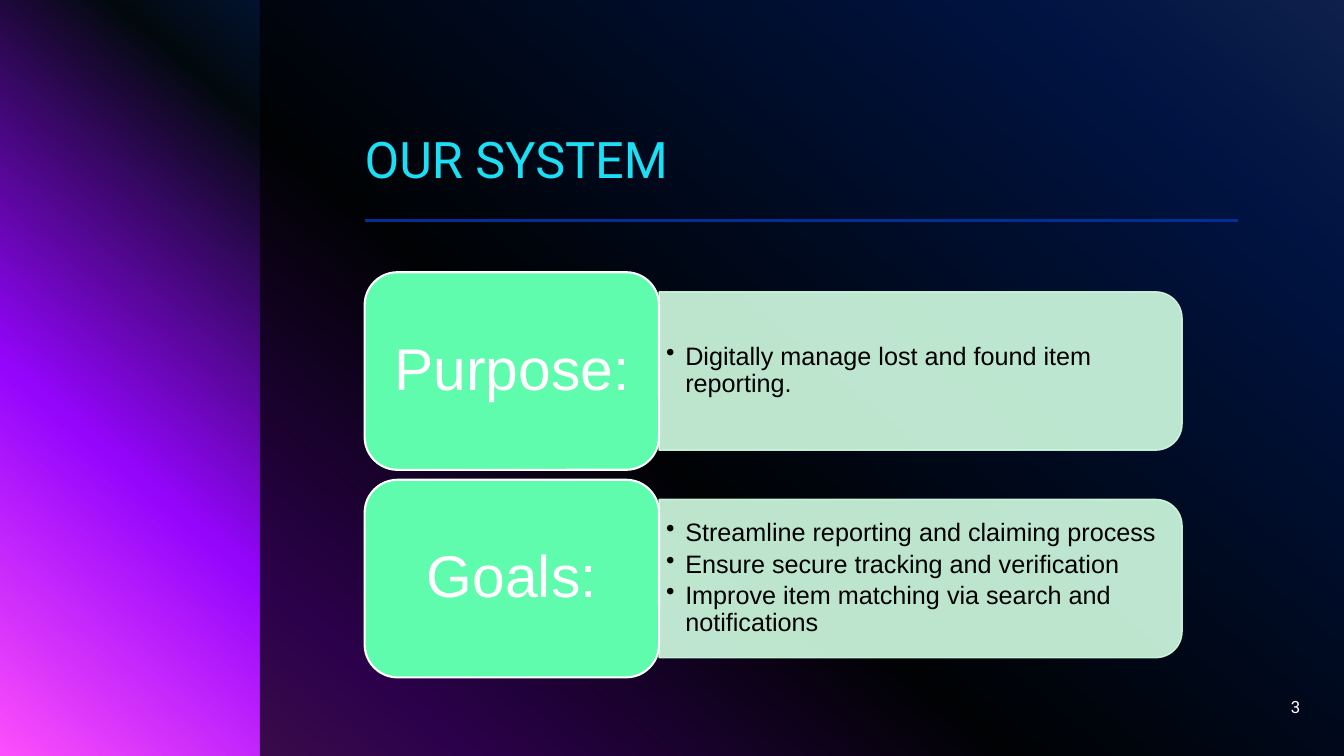
from lxml import etree
from pptx import Presentation
from pptx.dml.color import RGBColor
from pptx.enum.shapes import MSO_CONNECTOR, MSO_SHAPE
from pptx.enum.text import MSO_ANCHOR, MSO_AUTO_SIZE, PP_ALIGN
from pptx.oxml import parse_xml
from pptx.oxml.ns import nsdecls, qn
from pptx.util import Cm, Pt


def colour(code):
    return RGBColor.from_string(code)


class SlideBuilder:
    heading_font, body_font = "Roboto", "Arial"
    cyan, mint, pale_mint = "1CDFF5", "5EFCAC", "D2FEE3"
    black, white, rule_blue = "000000", "FFFFFF", "022E96"

    def __init__(self, deck):
        self.page = deck.slides.add_slide(deck.slide_layouts[5])

    def background(self, stops, angle):
        marks = "".join(f'<a:gs pos="{place * 1000}"><a:srgbClr val="{code}"/></a:gs>'
                        for place, code in stops)
        self.page.element.cSld.insert(0, parse_xml(
            f'<p:bg {nsdecls("p", "a")}><p:bgPr><a:gradFill rotWithShape="1">'
            f'<a:gsLst>{marks}</a:gsLst><a:lin ang="{angle * 60000}" scaled="0"/>'
            '</a:gradFill><a:effectLst/></p:bgPr></p:bg>'))

    def shape(self, kind, left, top, width, height, fill, opacity=100, line=None, weight=1):
        box = self.page.shapes.add_shape(kind, Cm(left), Cm(top), Cm(width), Cm(height))
        box.shadow.inherit = False
        box.fill.solid()
        box.fill.fore_color.rgb = colour(fill)
        if line:
            box.line.color.rgb = colour(line)
            box.line.width = Pt(weight)
        else:
            box.line.fill.background()
        if opacity < 100:
            for shade in box.element.spPr.iter(qn("a:srgbClr")):
                etree.SubElement(shade, qn("a:alpha"), val=str(opacity * 1000))
        return box

    def veil(self, left, top, width, height):
        box = self.shape(MSO_SHAPE.RECTANGLE, left, top, width, height, self.black, 70)
        self.page.shapes.element.insert(2, box.element)

    def rule(self, left, right, height):
        line = self.page.shapes.add_connector(
            MSO_CONNECTOR.STRAIGHT, Cm(left), Cm(height), Cm(right), Cm(height))
        line.line.color.rgb = colour(self.rule_blue)
        line.line.width = Pt(2)
        etree.SubElement(line.element.spPr, qn("a:effectLst"))

    def set_text(self, box, lines, size, ink, font, align=PP_ALIGN.LEFT,
                 anchor=MSO_ANCHOR.MIDDLE, margins=(0.25, 0.13), spacing=0.9, after=0,
                 bullets=False):
        frame = box.text_frame
        frame.word_wrap = True
        frame.auto_size = MSO_AUTO_SIZE.NONE
        frame.vertical_anchor = anchor
        frame.margin_left = frame.margin_right = Cm(margins[0])
        frame.margin_top = frame.margin_bottom = Cm(margins[1])
        frame.text = "\n".join(lines)
        for para in frame.paragraphs:
            para.alignment = align
            para.line_spacing = spacing
            para.space_after = Pt(after)
            if bullets:
                marker = para._p.get_or_add_pPr()
                marker.set("marL", str(Cm(0.48)))
                marker.set("indent", str(-Cm(0.48)))
                etree.SubElement(marker, qn("a:buChar"), char="•")
            para.font.size = Pt(size)
            para.font.name = font
            para.font.color.rgb = colour(ink)

    def title(self, text, left, top, width, height):
        box = self.page.shapes.title
        box.left, box.top, box.width, box.height = Cm(left), Cm(top), Cm(width), Cm(height)
        self.set_text(box, [text], 36, self.cyan, self.heading_font,
                      anchor=MSO_ANCHOR.BOTTOM, margins=(0, 0.13))

    def text(self, lines, left, top, width, height, **style):
        box = self.page.shapes.add_textbox(Cm(left), Cm(top), Cm(width), Cm(height))
        self.set_text(box, lines, **style)

    def topic(self, label, points, left, top):
        label_width, label_height = 7.42, 4.98
        panel_width, panel_height = 13.18, 3.99
        panel_left = left + label_width
        panel_top = top + (label_height - panel_height) / 2
        # The panel is a tall shape turned on its side about its centre
        shift = (panel_width - panel_height) / 2
        panel = self.shape(MSO_SHAPE.ROUND_2_SAME_RECTANGLE, panel_left + shift,
                           panel_top - shift, panel_height, panel_width,
                           self.pale_mint, 90, self.pale_mint)
        panel.rotation = 90
        self.text(points, panel_left, panel_top, 13, panel_height, size=18, ink=self.black,
                  font=self.body_font, margins=(0.18, 0.1), after=3, bullets=True)
        card = self.shape(MSO_SHAPE.ROUNDED_RECTANGLE, left, top, label_width, label_height,
                          self.mint, line=self.white, weight=1.5)
        self.set_text(card, [label], 42, self.white, self.body_font, PP_ALIGN.CENTER,
                      margins=(0.4, 0.23))


def main():
    deck = Presentation()
    deck.slide_width, deck.slide_height = Cm(33.87), Cm(19.05)
    slide = SlideBuilder(deck)
    content_left = 9.19

    # Backdrop
    slide.background([(0, "316CFC"), (14, "0343DF"), (55, "02090E"),
                      (79, "9405FC"), (100, "FC4EFB")], 130)
    slide.veil(6.55, 0, 27.32, 19.05)

    # Heading
    slide.title("OUR SYSTEM", content_left, 0.3, 20.62, 4.6)
    slide.rule(content_left, 31.19, 5.56)

    # Topics
    topics = [
        ("Purpose:", ["Digitally manage lost and found item reporting."]),
        ("Goals:", ["Streamline reporting and claiming process",
                    "Ensure secure tracking and verification",
                    "Improve item matching via search and notifications"]),
    ]
    for row, (label, points) in enumerate(topics):
        slide.topic(label, points, content_left, 6.86 + row * 5.23)

    # Page number
    slide.text(["3"], 25.4, 17.3, 7.62, 1.02, size=12, ink=slide.white,
               font=slide.heading_font, align=PP_ALIGN.RIGHT, spacing=1.0)

    deck.save("out.pptx")


if __name__ == "__main__":
    main()
